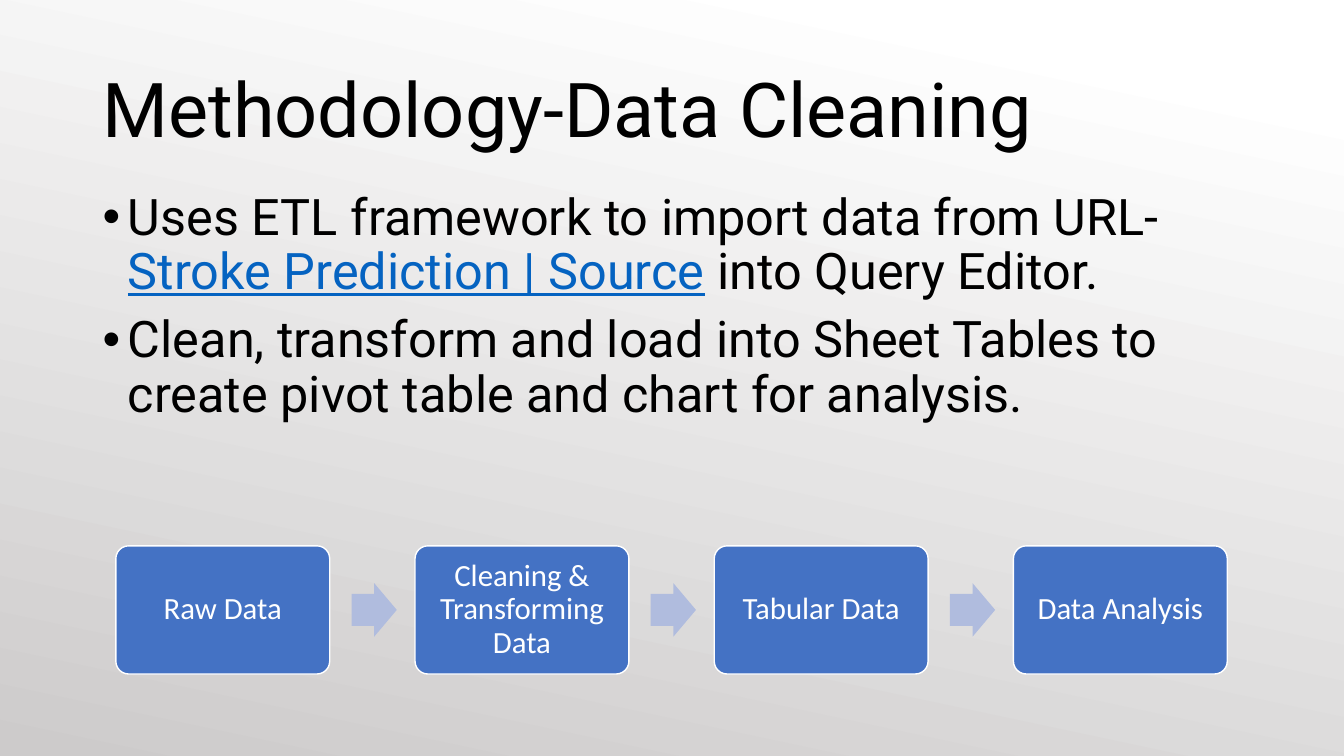
"""Builds the data cleaning methodology slide with its four-step process."""
from pptx import Presentation
from pptx.dml.color import RGBColor
from pptx.enum.shapes import MSO_SHAPE
from pptx.enum.text import MSO_ANCHOR, MSO_AUTO_SIZE, PP_ALIGN
from pptx.util import Cm, Pt

COLORS = {
    "text": "000000",
    "link": "0563C1",
    "step": "4472C4",
    "arrow": "B0BCDE",
    "light": "FFFFFF",
    "shade": "CDCBCB",
}
BULLETS = [
    [
        ("Uses ETL framework to import data from URL-", "text"),
        ("Stroke Prediction | Source", "link"),
        (" into Query Editor.", "text"),
    ],
    [("Clean, transform and load into Sheet Tables to create pivot table and chart for analysis.", "text")],
]
STEPS = ["Raw Data", "Cleaning & Transforming Data", "Tabular Data", "Data Analysis"]
STEP_LEFT, STEP_PITCH, STEP_WIDTH, STEP_HEIGHT = 2.92, 7.54, 5.39, 3.23
ARROW_GAP, ARROW_WIDTH, ARROW_HEIGHT = 0.55, 1.14, 1.35
CENTER_LINE = 15.37


def color(name):
    return RGBColor.from_string(COLORS[name])


def add_run(paragraph, text, font, size, color_name):
    run = paragraph.add_run()
    run.text = text
    run.font.name = font
    run.font.size = Pt(size)
    run.font.color.rgb = color(color_name)
    return run


def place(shape, left, top, width, height):
    shape.left, shape.top = Cm(left), Cm(top)
    shape.width, shape.height = Cm(width), Cm(height)


def set_background(slide):
    fill = slide.background.fill
    fill.gradient()
    fill.gradient_angle = 258
    for stop, position, name in zip(fill.gradient_stops, (0.1, 1), ("light", "shade")):
        stop.position = position
        stop.color.rgb = color(name)


def fill_title(title, text):
    place(title, 2.33, 1.01, 29.21, 3.68)
    frame = title.text_frame
    frame.auto_size = MSO_AUTO_SIZE.NONE
    frame.vertical_anchor = MSO_ANCHOR.MIDDLE
    paragraph = frame.paragraphs[0]
    paragraph.alignment = PP_ALIGN.LEFT
    paragraph.line_spacing = 0.9
    add_run(paragraph, text, "Roboto", 54, "text")


def fill_bullets(body, bullets):
    place(body, 2.33, 4.7, 29.21, 8.05)
    frame = body.text_frame
    frame.auto_size = MSO_AUTO_SIZE.NONE
    for index, pieces in enumerate(bullets):
        paragraph = frame.add_paragraph() if index else frame.paragraphs[0]
        paragraph.line_spacing = 0.9
        paragraph.space_before = Pt(10)
        properties = paragraph._p.get_or_add_pPr()
        properties.set("marL", str(Cm(0.64)))
        properties.set("indent", str(Cm(-0.64)))
        for text, color_name in pieces:
            run = add_run(paragraph, text, "Roboto", 36, color_name)
            run.font.underline = color_name == "link"


def add_block(slide, preset, left, width, height, fill_name, adjustments):
    top = CENTER_LINE - height / 2
    shape = slide.shapes.add_shape(preset, Cm(left), Cm(top), Cm(width), Cm(height))
    shape.shadow.inherit = False
    shape.fill.solid()
    shape.fill.fore_color.rgb = color(fill_name)
    for index, value in enumerate(adjustments):
        shape.adjustments[index] = value
    return shape


def add_step(slide, left, text):
    box = add_block(slide, MSO_SHAPE.ROUNDED_RECTANGLE, left, STEP_WIDTH, STEP_HEIGHT, "step", [0.1])
    box.line.color.rgb = color("light")
    box.line.width = Pt(1)
    frame = box.text_frame
    frame.word_wrap = True
    frame.vertical_anchor = MSO_ANCHOR.MIDDLE
    frame.margin_left = frame.margin_right = Cm(0.23)
    frame.margin_top = frame.margin_bottom = Cm(0.23)
    paragraph = frame.paragraphs[0]
    paragraph.alignment = PP_ALIGN.CENTER
    paragraph.line_spacing = 0.9
    add_run(paragraph, text, "Calibri", 22, "light")


def add_arrow(slide, left):
    arrow = add_block(slide, MSO_SHAPE.RIGHT_ARROW, left, ARROW_WIDTH, ARROW_HEIGHT, "arrow", [0.6, 0.5])
    arrow.line.fill.background()


def add_process(slide, steps):
    for index, text in enumerate(steps):
        left = STEP_LEFT + index * STEP_PITCH
        add_step(slide, left, text)
        if index < len(steps) - 1:
            add_arrow(slide, left + STEP_WIDTH + ARROW_GAP)


def main():
    presentation = Presentation()
    presentation.slide_width, presentation.slide_height = Cm(33.87), Cm(19.05)
    slide = presentation.slides.add_slide(presentation.slide_layouts[1])
    set_background(slide)
    fill_title(slide.shapes.title, "Methodology-Data Cleaning")
    fill_bullets(slide.placeholders[1], BULLETS)
    add_process(slide, STEPS)
    presentation.save("out.pptx")


main()
